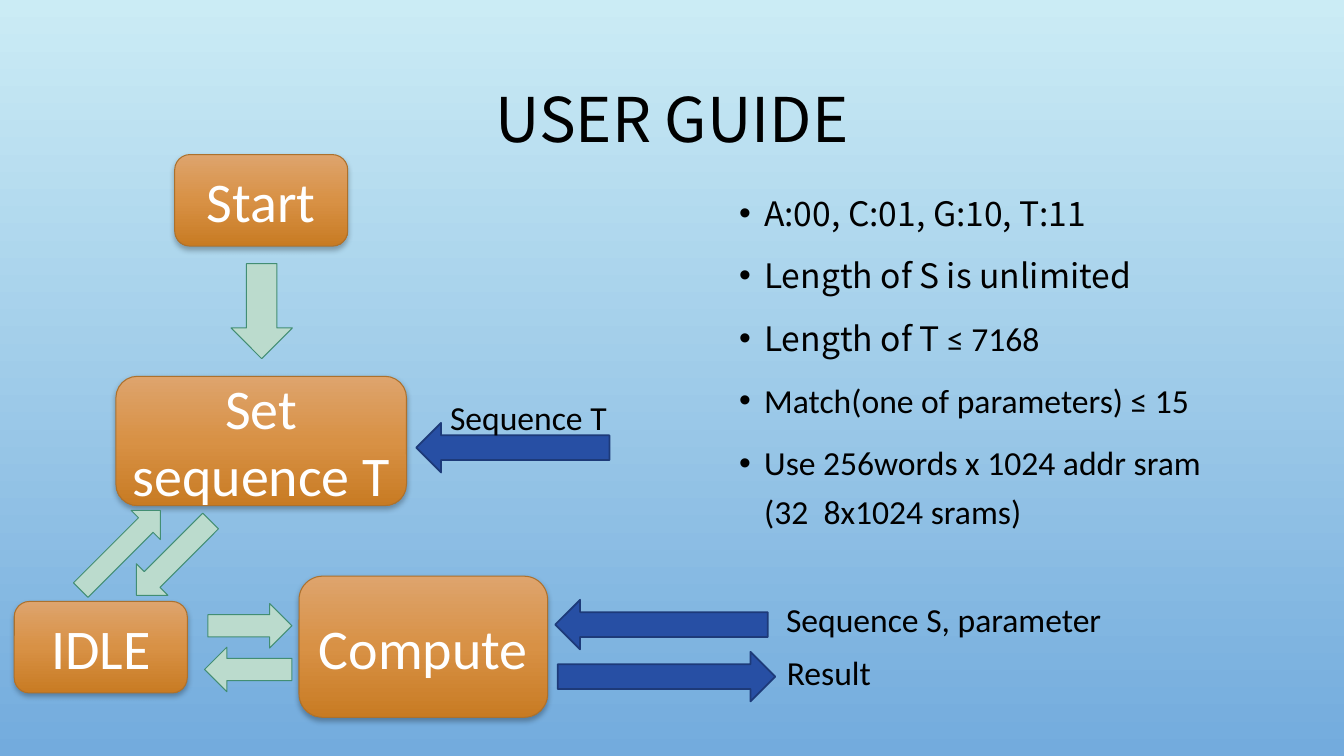
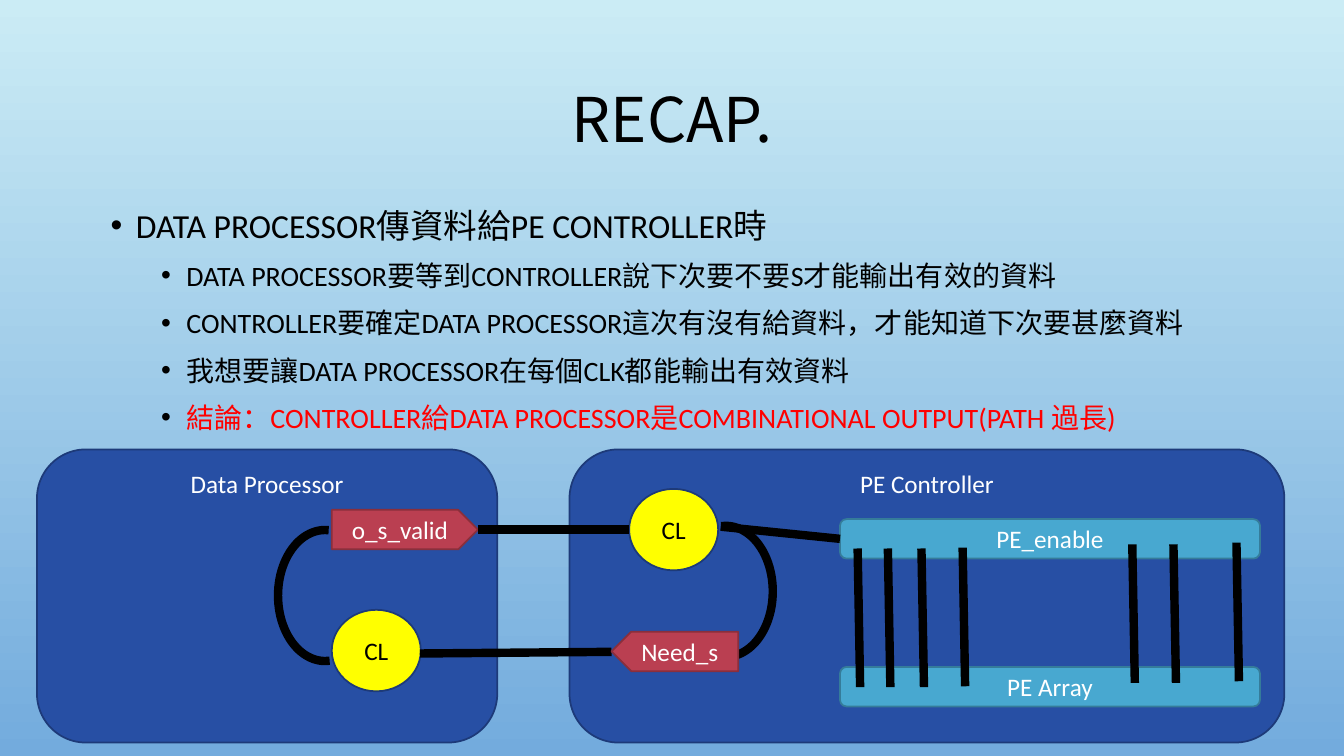
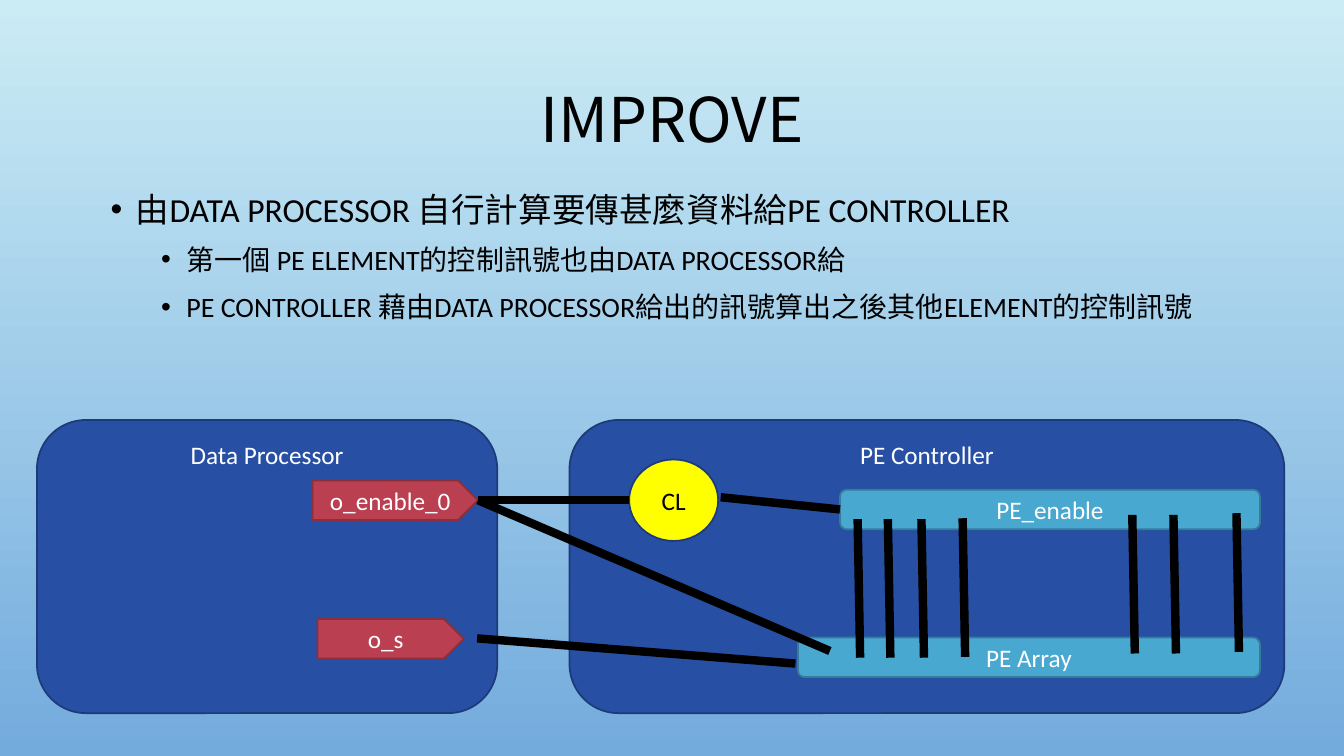
from copy import deepcopy

from pptx import Presentation
from pptx.dml.color import RGBColor
from pptx.enum.shapes import MSO_CONNECTOR as LINE, MSO_SHAPE as SHAPE
from pptx.enum.text import MSO_ANCHOR as ANCHOR, PP_ALIGN as ALIGN
from pptx.oxml.ns import qn
from pptx.oxml.xmlchemy import OxmlElement as Element
from pptx.util import Emu, Pt

# Square grid: 160 columns by 90 rows, twelve units to the inch
COLS, ROWS, UNIT = 160, 90, 76200

LATIN, CJK = "Calibri", "Noto Sans CJK SC"
BLACK, WHITE, RED = "000000", "FFFFFF", "FF0000"
SKY = [(0, "CBECF5"), (100, "73ABDD")]
ORANGE = [(0, "DEA46D"), (50, "D89145"), (100, "C87B23")]

# Fill, line colour and line width of each kind of shape
STEP = (ORANGE, "AC712D", 0.75)
FLOW = ("BBDBCD", "428E73", 0.75)
DATA = ("274FA4", "1D3A79", 1.25)
SIGNAL = ("BA3F51", "8A2F3C", 1.25)
BAR = ("48A8D0", "357C9A", 1.25)
LOGIC = ("FFFF00", "1D3A79", 1.25)
WIRE = (None, BLACK, 6)

SIGNAL_H = BAR_H = 4.7
SIGNAL_TIP = 56.9
LOGIC_W, LOGIC_H = 10.6, 9.7


def grid(*units):
    return [Emu(round(u * UNIT)) for u in units]


def rgb(value):
    return RGBColor.from_string(value)


def child(parent, tag, **attrs):
    el = Element(tag)
    for name, value in attrs.items():
        el.set(name, str(value))
    parent.append(el)
    return el


# Fills and effects
def paint_gradient(fill, owner, stops):
    """Top-to-bottom gradient with any number of stops."""
    fill.gradient()
    fill.gradient_angle = 270
    stop_list = owner.element.find(".//" + qn("a:gsLst"))
    while len(stop_list) < len(stops):
        stop_list.append(deepcopy(stop_list[0]))
    for stop, (position, color) in zip(fill.gradient_stops, stops):
        stop.position = position / 100
        stop.color.rgb = rgb(color)


def add_shadow(sp):
    effects = sp.element.spPr.find(qn("a:effectLst"))
    shadow = child(effects, "a:outerShdw", blurRad=Pt(4), dist=Pt(2),
                   dir=90 * 60000, rotWithShape=0)
    color = child(shadow, "a:srgbClr", val=BLACK)
    child(color, "a:alpha", val=28000)


# Text
def add_run(p, text, size, color=BLACK, font=LATIN):
    for i, line in enumerate(text.split("\n")):
        if i:
            p.add_line_break()
        r = p.add_run()
        r.text = line
        r.font.size = Pt(size)
        r.font.name = font
        r.font.color.rgb = rgb(color)
        child(r.font._element, "a:ea", typeface=CJK)


def add_box(s, x, y, w, h):
    tf = s.shapes.add_textbox(*grid(x, y, w, h)).text_frame
    tf.word_wrap = True
    return tf


def add_title(s, text):
    tf = add_box(s, 12, 8.2, 136, 12.8)
    tf.vertical_anchor = ANCHOR.MIDDLE
    p = tf.paragraphs[0]
    p.alignment, p.line_spacing = ALIGN.CENTER, 0.9
    add_run(p, text, 44, font=CJK)


def add_label(s, x, y, w, text):
    add_run(add_box(s, x, y, w, 6).paragraphs[0], text, 24)


def add_bullets(s, x, y, w, h, items):
    """Each item is a level and its runs: text, then colour and font if special."""
    tf = add_box(s, x, y, w, h)
    for i, (level, runs) in enumerate(items):
        p = tf.add_paragraph() if i else tf.paragraphs[0]
        pPr = p._p.get_or_add_pPr()
        pPr.set("marL", str(grid(3 + 6 * level)[0]))
        pPr.set("indent", str(grid(-3)[0]))
        child(child(pPr, "a:buClr"), "a:srgbClr", val=BLACK)
        child(pPr, "a:buFont", typeface="Arial")
        child(pPr, "a:buChar", char="•")
        p.level, p.line_spacing = level, 1.2
        if i:
            p.space_before = Pt(5 if level else 10)
        for run in runs:
            text, *style = run
            add_run(p, text, 20 if level else 24, *style)


# Shapes and lines
def add_shape(s, kind, x, y, w, h, style, text="", size=18, color=WHITE,
              anchor=ANCHOR.MIDDLE, rotation=0):
    sp = s.shapes.add_shape(kind, *grid(x, y, w, h))
    fill, line, width = style
    sp.shadow.inherit = False
    sp.rotation = rotation
    if fill is None:
        sp.fill.background()
    elif isinstance(fill, list):
        paint_gradient(sp.fill, sp, fill)
    else:
        sp.fill.solid()
        sp.fill.fore_color.rgb = rgb(fill)
    sp.line.color.rgb = rgb(line)
    sp.line.width = Pt(width)
    if text:
        sp.text_frame.vertical_anchor = anchor
        p = sp.text_frame.paragraphs[0]
        p.alignment = ALIGN.CENTER
        add_run(p, text, size, color)
    return sp


def add_step(s, x, y, w, h, text):
    add_shadow(add_shape(s, SHAPE.ROUNDED_RECTANGLE, x, y, w, h, STEP, text, 40))


def add_arrow(s, x, y, w, h, style, rotation=0):
    add_shape(s, SHAPE.DOWN_ARROW, x, y, w, h, style, rotation=rotation)


def add_panel(s, x, y, w, text):
    add_shape(s, SHAPE.ROUNDED_RECTANGLE, x, y, w, 34.9, DATA, text,
              anchor=ANCHOR.TOP)


def add_bar(s, x, y, text):
    return add_shape(s, SHAPE.ROUNDED_RECTANGLE, x, y, 150 - x, BAR_H, BAR, text)


def add_signal(s, x, y, w, text):
    return add_shape(s, SHAPE.PENTAGON, x, y, w, SIGNAL_H, SIGNAL, text)


def add_logic(s, x, y):
    add_shape(s, SHAPE.OVAL, x, y, LOGIC_W, LOGIC_H, LOGIC, "CL", color=BLACK)


def add_loop(s, x, y, rotation=0):
    arc = add_shape(s, SHAPE.ARC, x, y, 11.2, 15.6, WIRE, rotation=rotation)
    for i, degrees in enumerate((86, 273.15)):
        arc.adjustments[i] = degrees * 0.6


def add_wire(s, x1, y1, x2, y2, start=None, end=None):
    """Straight wire; start joins a right side, end joins a left side."""
    c = s.shapes.add_connector(LINE.STRAIGHT, *grid(x1, y1, x2, y2))
    c.line.color.rgb = rgb(BLACK)
    c.line.width = Pt(6)
    child(c.element.spPr, "a:effectLst")
    if start is not None:
        c.begin_connect(start, 3)
    if end is not None:
        c.end_connect(end, 1)


def add_pipeline(s, top, array_x, signal_x, signal_text):
    """Both panels, from the enabling signal through to the PE array."""
    add_panel(s, 4.4, top, 54.8, "Data Processor")
    add_panel(s, 67.8, top, 85.1, "PE Controller")
    signal = add_signal(s, signal_x, top + 7.2, SIGNAL_TIP - signal_x, signal_text)
    add_bar(s, array_x, top + 25.9, "PE Array")
    enable = add_bar(s, 100, top + 8.3, "PE_enable")
    add_logic(s, 74.9, top + 4.7)
    add_wire(s, SIGNAL_TIP, top + 9.55, 74.9, top + 9.55, start=signal)
    add_wire(s, 85.8, top + 9.2, 100, top + 10.65, end=enable)
    for x, y in ((102.1, 11.8), (105.7, 11.8), (109.7, 11.8), (114.6, 11.7),
                 (134.8, 11.3), (139.7, 11.3), (147.2, 11.1)):
        add_wire(s, x, top + y, x + 0.3, top + y + 16.5)
    return signal


# Slides
def user_guide(s):
    add_title(s, "USER GUIDE")
    add_bullets(s, 86.8, 21.4, 61.2, 50.4, [
        (0, [("A:00, C:01, G:10, T:11", BLACK, CJK)]),
        (0, [("Length of S is unlimited", BLACK, CJK)]),
        (0, [("Length of T ", BLACK, CJK), ("≤ 7168",)]),
        (0, [("Match(one of parameters) ≤ 15",)]),
        (0, [("Use 256words x 1024 addr sram\n(32  8x1024 srams)",)]),
    ])
    for step in ((20.8, 18.4, 20.6, 10.9, "Start"),
                 (13.8, 44.8, 34.6, 15.4, "Set sequence T"),
                 (1.7, 71.6, 20.6, 10.9, "IDLE"),
                 (35.6, 68.6, 29.6, 16.8, "Compute")):
        add_step(s, *step)
    for arrow in ((27.5, 31.4, 7.3, 11.3, FLOW),
                  (18, 60.2, 5.3, 12.5, FLOW, 45),
                  (11.9, 58.8, 4.9, 13.4, FLOW, 225),
                  (27.1, 69.5, 5.3, 10, FLOW, 270),
                  (26.9, 74.5, 5.3, 10.4, FLOW, 90),
                  (58.1, 41.8, 5.9, 23, DATA, 90),
                  (76.4, 67.6, 5.9, 25.9, DATA, 270),
                  (75.8, 61.7, 5.9, 25.3, DATA, 90)):
        add_arrow(s, *arrow)
    add_label(s, 52.4, 46.7, 25, "Sequence T")
    add_label(s, 92.4, 70.7, 47.3, "Sequence S, parameter")
    add_label(s, 92.5, 77, 14.4, "Result")


def recap(s):
    add_title(s, "RECAP.")
    add_bullets(s, 12, 22.8, 136, 50.4, [
        (0, [("DATA PROCESSOR傳資料給PE CONTROLLER時",)]),
        (1, [("DATA PROCESSOR要等到CONTROLLER說下次要不要S才能輸出有效的資料",)]),
        (1, [("CONTROLLER要確定DATA PROCESSOR這次有沒有給資料，才能知道下次要甚麼資料",)]),
        (1, [("我想要讓DATA PROCESSOR在每個CLK都能輸出有效資料",)]),
        (1, [("結論：CONTROLLER給DATA PROCESSOR是COMBINATIONAL OUTPUT(PATH 過長)", RED)]),
    ])
    add_pipeline(s, 53.5, 100, 39.5, "o_s_valid")
    # Feedback from the controller
    add_logic(s, 39.5, 72.6)
    add_wire(s, 50, 77.8, 72.8, 77.6)
    add_loop(s, 33.1, 63.1)
    add_loop(s, 80.8, 62.6, 180)
    need = add_signal(s, 72.8, 75.2, 15.1, "Need_s")
    need.element.spPr.xfrm.set("flipH", "1")


def improve(s):
    add_title(s, "IMPROVE")
    add_bullets(s, 12, 20.9, 136, 22.6, [
        (0, [("由DATA PROCESSOR 自行計算要傳甚麼資料給PE CONTROLLER",)]),
        (1, [("第一個 PE ELEMENT的控制訊號也由DATA PROCESSOR給",)]),
        (1, [("PE CONTROLLER 藉由DATA PROCESSOR給出的訊號算出之後其他ELEMENT的控制訊號",)]),
    ])
    signal = add_pipeline(s, 50, 95, 37.2, "o_enable_0")
    # Direct paths to the array
    add_signal(s, 37.8, 73.7, 17.4, "o_s")
    add_wire(s, SIGNAL_TIP, 59.55, 98.8, 77.5, start=signal)
    add_wire(s, 56.8, 76, 94.7, 79)


def main():
    prs = Presentation()
    prs.slide_width, prs.slide_height = grid(COLS, ROWS)
    master = prs.slide_master
    paint_gradient(master.background.fill, master, SKY)
    for build in (user_guide, recap, improve):
        build(prs.slides.add_slide(prs.slide_layouts[6]))
    prs.save("out.pptx")


if __name__ == "__main__":
    main()
